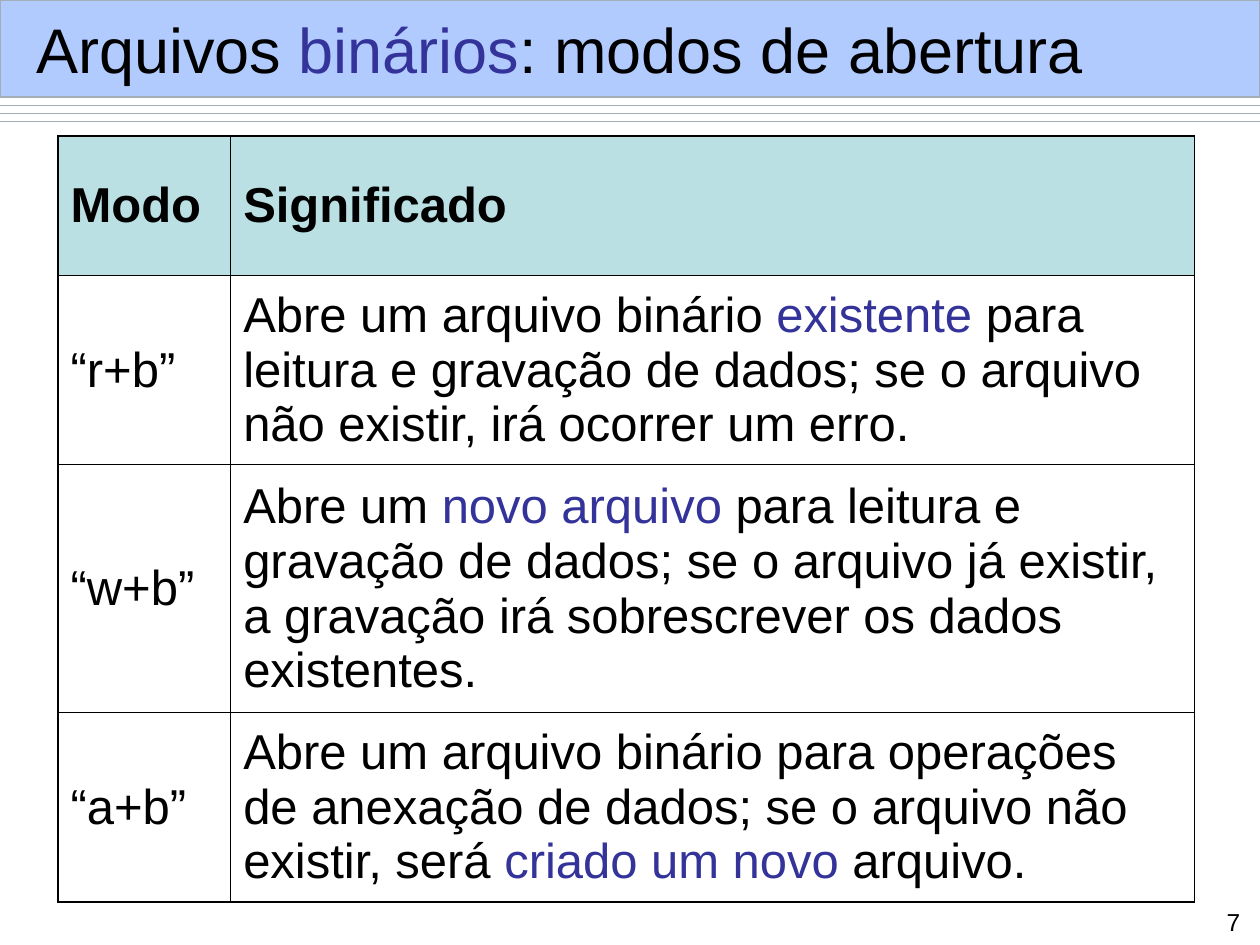
from typing import NamedTuple

from lxml import etree
from pptx import Presentation
from pptx import util as u
from pptx.dml.color import RGBColor
from pptx.enum import shapes, text
from pptx.oxml import ns

FONT = "Arial"
BLACK, INDIGO, TEAL, BLUE, GRAY = "000000", "333399", "BBE0E3", "6699FF", "A3AEB7"
OUTER_BORDER, INNER_BORDER = 1.08, 0.45


class Run(NamedTuple):
    content: str
    color: str = BLACK
    bold: bool = False


class Box(NamedTuple):
    left: float
    top: float
    width: float
    height: float

    def lengths(self) -> list[u.Length]:
        return [u.Cm(value) for value in self]


class Mode(NamedTuple):
    name: str
    meaning: list[Run]


TITLE = [Run("Arquivos "), Run("binários", INDIGO), Run(": modos de abertura")]
HEADER = [[Run("Modo", bold=True)], [Run("Significado", bold=True)]]
MODES = [
    Mode("“r+b”", [
        Run("Abre um arquivo binário "),
        Run("existente", INDIGO),
        Run(" para leitura e gravação de dados; se o arquivo não existir, "
            "irá ocorrer um erro."),
    ]),
    Mode("“w+b”", [
        Run("Abre um "),
        Run("novo arquivo", INDIGO),
        Run(" para leitura e gravação de dados; se o arquivo já existir, "
            "a gravação irá sobrescrever os dados existentes."),
    ]),
    Mode("“a+b”", [
        Run("Abre um arquivo binário para operações de anexação de dados; "
            "se o arquivo não existir, será "),
        Run("criado um novo", INDIGO),
        Run(" arquivo."),
    ]),
]
COLUMN_WIDTHS = [3.48, 19.43]
ROW_HEIGHTS = [2.82, 3.81, 5.0, 3.81]


def set_color(target, color: str) -> None:
    target.rgb = RGBColor.from_string(color)


def add_runs(paragraph, runs: list[Run], size: float) -> None:
    for item in runs:
        run = paragraph.add_run()
        run.text = item.content
        run.font.name = FONT
        run.font.size = u.Pt(size)
        run.font.bold = item.bold
        set_color(run.font.color, item.color)


def add_text(slide, box: Box, runs: list[Run], size: float, anchor, alignment) -> None:
    frame = slide.shapes.add_textbox(*box.lengths()).text_frame
    frame.word_wrap = True
    frame.vertical_anchor = anchor
    paragraph = frame.paragraphs[0]
    paragraph.alignment = alignment
    add_runs(paragraph, runs, size)


def add_rule(slide, top: float, width: float) -> None:
    line = slide.shapes.add_connector(
        shapes.MSO_CONNECTOR.STRAIGHT, u.Cm(0), u.Cm(top), u.Cm(width), u.Cm(top))
    line.line.width = u.Pt(0.75)
    set_color(line.line.color, GRAY)
    etree.SubElement(line._element.spPr, ns.qn("a:effectLst"))


def add_band(slide, box: Box) -> None:
    band = slide.shapes.add_shape(shapes.MSO_SHAPE.RECTANGLE, *box.lengths())
    band.shadow.inherit = False
    band.fill.solid()
    set_color(band.fill.fore_color, BLUE)
    color = band._element.spPr.find(f"{ns.qn('a:solidFill')}/{ns.qn('a:srgbClr')}")
    etree.SubElement(color, ns.qn("a:alpha"), val="50000")
    band.line.width = u.Pt(0.75)
    set_color(band.line.color, GRAY)


def set_borders(cell, outer_sides: dict[str, bool]) -> None:
    properties = cell._tc.get_or_add_tcPr()
    for index, (side, outer) in enumerate(outer_sides.items()):
        width = u.Pt(OUTER_BORDER if outer else INNER_BORDER)
        border = etree.Element(ns.qn(f"a:ln{side}"), w=str(width))
        fill = etree.SubElement(border, ns.qn("a:solidFill"))
        etree.SubElement(fill, ns.qn("a:srgbClr"), val=BLACK)
        properties.insert(index, border)


def add_mode_table(slide, left: float, top: float) -> None:
    rows = [HEADER] + [[[Run(mode.name)], mode.meaning] for mode in MODES]
    box = Box(left, top, sum(COLUMN_WIDTHS), sum(ROW_HEIGHTS))
    table = slide.shapes.add_table(len(rows), len(HEADER), *box.lengths()).table
    for column, width in zip(table.columns, COLUMN_WIDTHS):
        column.width = u.Cm(width)
    for row, height in zip(table.rows, ROW_HEIGHTS):
        row.height = u.Cm(height)
    last_row, last_column = len(rows) - 1, len(HEADER) - 1
    for i, row in enumerate(rows):
        for j, runs in enumerate(row):
            cell = table.cell(i, j)
            cell.vertical_anchor = text.MSO_ANCHOR.MIDDLE
            if i == 0:
                cell.fill.solid()
                set_color(cell.fill.fore_color, TEAL)
            else:
                cell.fill.background()
            set_borders(cell, {"L": j == 0, "R": j == last_column,
                               "T": i == 0, "B": i == last_row})
            add_runs(cell.text_frame.paragraphs[0], runs, 28)


def main() -> None:
    presentation = Presentation()
    presentation.slide_width = u.Cm(25.4)
    presentation.slide_height = u.Cm(19.05)
    slide = presentation.slides.add_slide(presentation.slide_layouts[6])
    for index in range(3):
        add_rule(slide, 2.13 + 0.16 * index, 25.4)
    add_band(slide, Box(0, 0, 25.4, 1.96))
    add_mode_table(slide, 1.17, 2.74)
    add_text(slide, Box(0.48, 0.23, 24.49, 1.5), TITLE, 36,
             text.MSO_ANCHOR.MIDDLE, text.PP_ALIGN.LEFT)
    add_text(slide, Box(23.9, 18.16, 1.35, 0.66), [Run("7")], 14,
             text.MSO_ANCHOR.TOP, text.PP_ALIGN.RIGHT)
    presentation.save("out.pptx")


if __name__ == "__main__":
    main()
